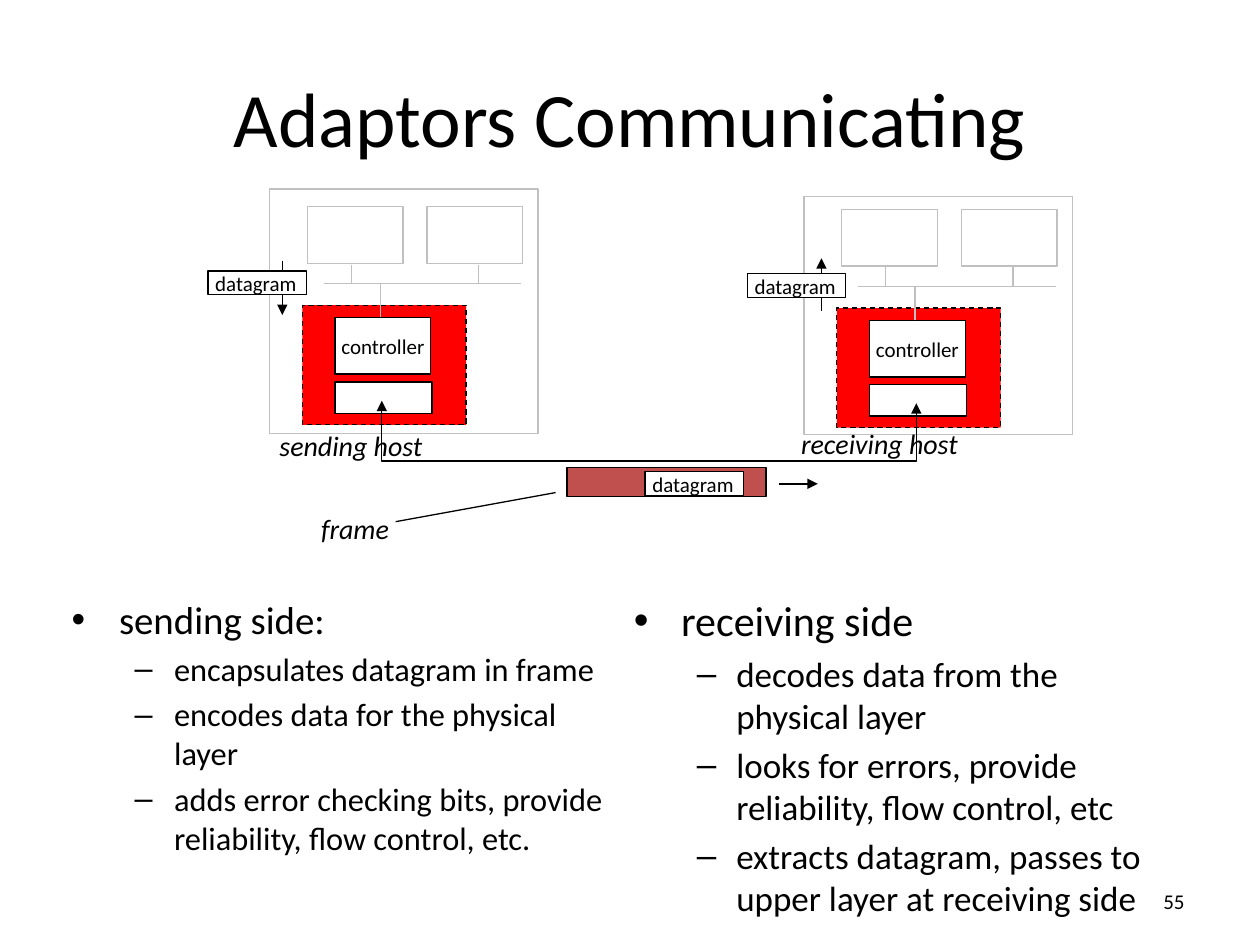
from pptx import Presentation
from pptx.dml.color import RGBColor
from pptx.enum.dml import MSO_LINE
from pptx.enum.shapes import MSO_CONNECTOR, MSO_SHAPE
from pptx.enum.text import MSO_ANCHOR, MSO_AUTO_SIZE, PP_ALIGN
from pptx.oxml.ns import qn
from pptx.util import Pt
from lxml.etree import SubElement

BLACK = RGBColor(0x00, 0x00, 0x00)
WHITE = RGBColor(0xFF, 0xFF, 0xFF)
GRAY = RGBColor(0xC0, 0xC0, 0xC0)
RED = RGBColor(0xFF, 0x00, 0x00)
BRICK = RGBColor(0xC0, 0x50, 0x4D)
FONT = "Calibri"

TITLE = "Adaptors Communicating"
# (area, heading size, item size, heading, items)
SIDES = [
    ((33.8, 337, 320.4, 183.6), 22.2, 18.5, "sending side:",
     ["encapsulates datagram in frame",
      "encodes data for the physical layer",
      "adds error checking bits, provide reliability, flow control, etc."]),
    ((355, 336.2, 321.8, 183.6), 24, 20, "receiving side",
     ["decodes data from the physical layer",
      "looks for errors, provide reliability, flow control, etc",
      "extracts datagram, passes to upper layer at receiving side"]),
]
# (left, top of inner parts, outline top, outline height)
HOSTS = [(154, 108, 108, 139.7), (459.4, 109.6, 112.3, 136.1)]
# arrow x, start y, end y
DATAGRAM_ARROWS = [(161.3, 149, 180), (469.4, 177.8, 147.6)]
DATAGRAMS = [(118.8, 154.8), (427, 156.2), (368.6, 269.3)]
CAPTIONS = [
    ("sending host", (152.6, 241.2, 101.5, 26.6)),
    ("receiving host", (450.7, 240.5, 109.4, 26.6)),
    ("frame", (176.4, 288.7, 59.8, 26.6)),
]
LINK = [(218.2, 229), (218.2, 263.5), (523.6, 263.5), (523.6, 230.4)]
CARD = (54.7, 32.4)


def style_text(para, size, **extra):
    for name, value in {"name": FONT, "size": Pt(size), **extra}.items():
        setattr(para.font, name, value)
    para.font.color.rgb = BLACK


def style_line(shape, color, arrows=()):
    shape.line.color.rgb = color
    shape.line.width = Pt(0.75)
    for end in arrows:
        SubElement(shape.line._get_or_add_ln(), qn(f"a:{end}"), type="triangle")


def add_box(page, area, fill=WHITE, line=BLACK):
    box = page.shapes.add_shape(MSO_SHAPE.RECTANGLE, *map(Pt, area))
    box.shadow.inherit = False
    box.fill.solid()
    box.fill.fore_color.rgb = fill
    style_line(box, line)
    return box


def add_line(page, start, end, color=BLACK, arrows=()):
    line = page.shapes.add_connector(
        MSO_CONNECTOR.STRAIGHT, *map(Pt, (*start, *end)))
    style_line(line, color, arrows)
    SubElement(line._element.spPr, qn("a:effectLst"))


def add_label(page, text, area, size, **extra):
    box = page.shapes.add_textbox(*map(Pt, area))
    box.text_frame.word_wrap = False
    para = box.text_frame.paragraphs[0]
    para.text = text
    style_text(para, size, **extra)
    return box


def add_host(page, left, top, outline_top, outline_height):
    """Draw one host: two cards on a bus above its red network adaptor."""
    bus = top + 54
    add_box(page, (left, outline_top, 153.4, outline_height), line=GRAY)
    adaptor = add_box(page, (left + 18.8, top + 66.4, 93.6, 68.4), RED)
    adaptor.line.dash_style = MSO_LINE.DASH
    add_box(page, (left + 37.5, top + 110.2, 55.4, 18))

    controller = add_box(page, (left + 37.5, top + 73.4, *CARD))
    frame = controller.text_frame
    frame.word_wrap = False
    frame.vertical_anchor = MSO_ANCHOR.MIDDLE
    para = frame.paragraphs[0]
    para.text = "controller"
    para.alignment = PP_ALIGN.CENTER
    style_text(para, 12)

    add_line(page, (left + 31, bus), (left + 144, bus), GRAY)
    add_line(page, (left + 63.4, top + 73.4), (left + 63.4, bus), GRAY)
    for card_x, drop_x in ((21.6, 46.8), (90, 119.5)):
        add_box(page, (left + card_x, top + 10.1, *CARD), line=GRAY)
        add_line(page, (left + drop_x, bus), (left + drop_x, top + 43.2), GRAY)


def fill_side(body, area, heading_size, item_size, heading, items):
    body.left, body.top, body.width, body.height = map(Pt, area)
    frame = body.text_frame
    frame.auto_size = MSO_AUTO_SIZE.NONE
    frame.text = "\n".join([heading, *items])
    for index, para in enumerate(frame.paragraphs):
        para.level = min(index, 1)
        style_text(para, item_size if index else heading_size)


def add_link(page):
    points = [(Pt(x), Pt(y)) for x, y in LINK]
    builder = page.shapes.build_freeform(*points[0])
    builder.add_line_segments(points[1:], close=False)
    link = builder.convert_to_shape()
    link.shadow.inherit = False
    link.fill.background()
    style_line(link, BLACK, ("headEnd", "tailEnd"))


def main():
    deck = Presentation()
    deck.slide_width, deck.slide_height = Pt(720), Pt(540)
    page = deck.slides.add_slide(deck.slide_layouts[3])
    title, *bodies = page.placeholders

    title.left, title.top, title.width, title.height = map(Pt, (36, 21.6, 648, 90))
    title.text_frame.text = TITLE
    style_text(title.text_frame.paragraphs[0], 44)
    for body, side in zip(bodies, SIDES):
        fill_side(body, *side)

    number = add_label(page, "55", (516.2, 500.4, 167.8, 28.8), 12)
    number.text_frame.word_wrap = True
    number.text_frame.vertical_anchor = MSO_ANCHOR.MIDDLE
    number.text_frame.paragraphs[0].alignment = PP_ALIGN.RIGHT

    add_box(page, (324, 267.1, 113.8, 16.6), BRICK)
    for host in HOSTS:
        add_host(page, *host)
    for text, area in CAPTIONS:
        add_label(page, text, area, 16, italic=True)
    for x, start, end in DATAGRAM_ARROWS:
        add_line(page, (x, start), (x, end), arrows=("tailEnd",))
    for left, top in DATAGRAMS:
        add_box(page, (left, top, 56.2, 13.7))
        add_label(page, "datagram", (left - 2.9, top - 3.6, 61.9, 21.6), 12)

    add_link(page)
    add_line(page, (445, 276.5), (467.3, 276.5), arrows=("tailEnd",))
    add_line(page, (226.1, 298.1), (317.5, 281.5))
    deck.save("out.pptx")


if __name__ == "__main__":
    main()
